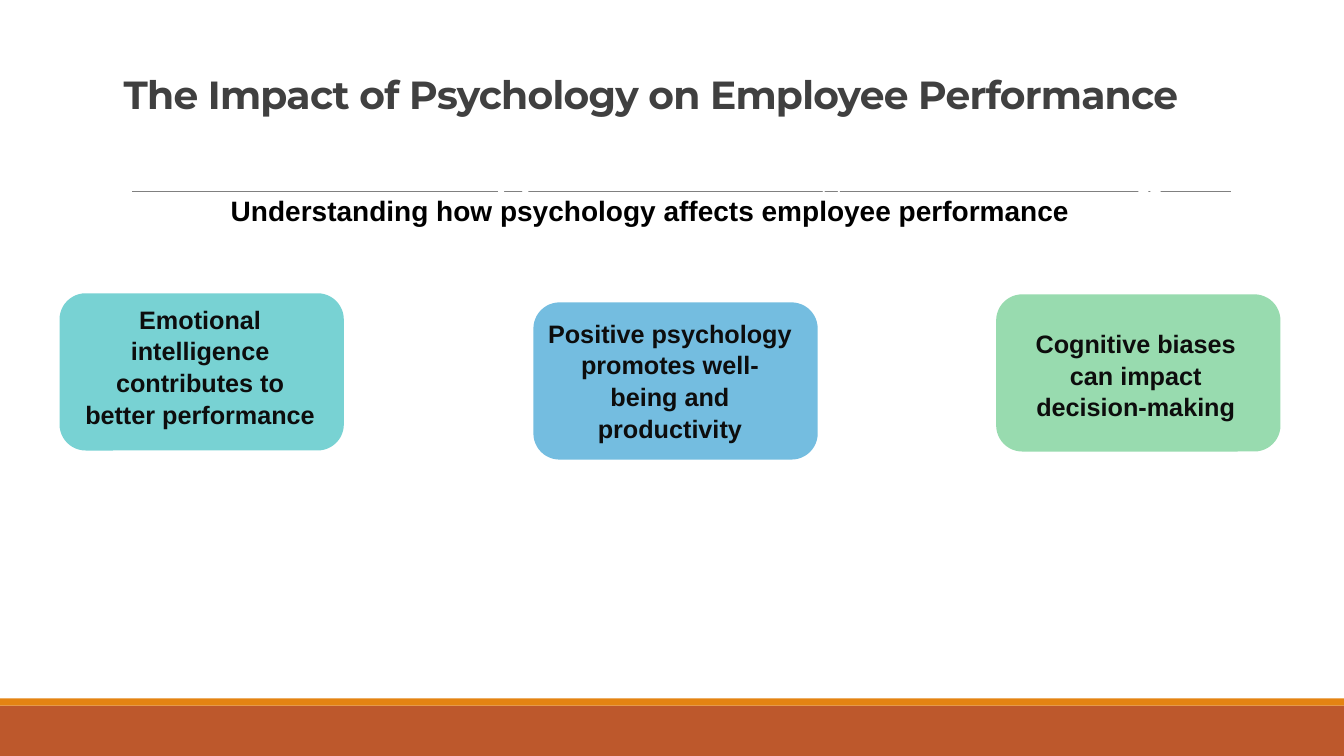
from math import cos, pi, sin

from pptx import Presentation
from pptx.dml.color import RGBColor
from pptx.enum.shapes import MSO_CONNECTOR, MSO_SHAPE
from pptx.enum.text import MSO_ANCHOR, PP_ALIGN
from pptx.util import Inches, Pt
from lxml.etree import SubElement
from pptx.oxml.ns import qn


def paint(sp, color):
    """Give a shape a plain fill with no outline or shadow."""
    sp.shadow.inherit = False
    sp.fill.solid()
    sp.fill.fore_color.rgb = RGBColor.from_string(color)
    sp.line.fill.background()


def add_text(text, x, y, w, h, size, color, font="Arial", align=PP_ALIGN.CENTER,
             anchor=MSO_ANCHOR.TOP, spacing=1.0, inset=None, tracking=None):
    tf = s.shapes.add_textbox(Inches(x), Inches(y), Inches(w), Inches(h)).text_frame
    tf.word_wrap = True
    tf.vertical_anchor = anchor
    if inset is not None:
        tf.margin_left = tf.margin_top = tf.margin_right = tf.margin_bottom = Inches(inset)
    p = tf.paragraphs[0]
    p.alignment = align
    p.line_spacing = spacing
    r = p.add_run()
    r.text = text
    r.font.name, r.font.size, r.font.bold = font, Pt(size), True
    r.font.color.rgb = RGBColor.from_string(color)
    if tracking is not None:
        r.font._element.set("spc", str(tracking))


prs = Presentation()
prs.slide_width, prs.slide_height = Inches(13.33), Inches(7.5)
s = prs.slides.add_slide(prs.slide_layouts[6])

# Footer bands
for y, h, color in [(7, 0.5, "BD582C"), (6.93, 0.07, "E48312")]:
    paint(s.shapes.add_shape(MSO_SHAPE.RECTANGLE, 0, Inches(y), prs.slide_width, Inches(h)), color)

# Title and rule
rule = s.shapes.add_connector(MSO_CONNECTOR.STRAIGHT, Inches(1.31), Inches(1.9),
                              Inches(12.21), Inches(1.9))
rule.line.color.rgb = RGBColor.from_string("808080")
rule.line.width = Pt(0.5)
SubElement(rule._element.spPr, qn("a:effectLst"))
add_text("The Impact of Psychology on Employee Performance", 0.31, 0.16, 12.29, 1.06, 28,
         "404040", font="Montserrat", anchor=MSO_ANCHOR.BOTTOM, spacing=0.85, tracking=-50)

# Cards: card left and top, text left, top and height
cards = [
    ("Emotional intelligence contributes to better performance", "78D2D3",
     0.59, 2.91, 0.77, 3.0, 0.49),
    ("Positive psychology promotes well-being and productivity", "74BDE0",
     5.29, 3.0, 5.43, 3.14, 0.49),
    ("Cognitive biases can impact decision-making", "98DBAF",
     9.88, 2.92, 10.05, 3.24, 0.91),
]
for text, color, x, y, text_x, text_y, text_h in cards:
    card = s.shapes.add_shape(MSO_SHAPE.ROUNDED_RECTANGLE, Inches(x), Inches(y),
                              Inches(2.82), Inches(1.56))
    paint(card, color)
    add_text(text, text_x, text_y, 2.43, text_h, 18, "0D0D0D", spacing=1.05, inset=0)

# White icons across the rule: clock face, padlock, two stars
dial = [(5.09 + 0.1 * cos(i * pi / 12), 1.86 + 0.1 * sin(i * pi / 12)) for i in range(24)]
icons = [
    ([(4.94, 1.71), (5.24, 1.71), (5.24, 2.01), (4.94, 2.01)], dial),
    ([(11.29, 1.82), (11.51, 1.82), (11.51, 2.01), (11.29, 2.01)],
     [(11.39, 1.89), (11.41, 1.89), (11.41, 1.95), (11.39, 1.95)]),
]
for outline, hole in icons:
    fb = s.shapes.build_freeform(Inches(outline[0][0]), Inches(outline[0][1]))
    fb.add_line_segments([(Inches(x), Inches(y)) for x, y in outline[1:]])
    fb.move_to(Inches(hole[0][0]), Inches(hole[0][1]))
    fb.add_line_segments([(Inches(x), Inches(y)) for x, y in hole[1:]])
    paint(fb.convert_to_shape(), "FFFFFF")
for x in (8.11, 8.26):
    paint(s.shapes.add_shape(MSO_SHAPE.STAR_5_POINT, Inches(x), Inches(1.87),
                             Inches(0.12), Inches(0.12)), "FFFFFF")

add_text("Understanding how psychology affects employee performance", 2.19, 1.87, 8.53, 0.44,
         20, "000000", align=PP_ALIGN.LEFT)

prs.save("out.pptx")
